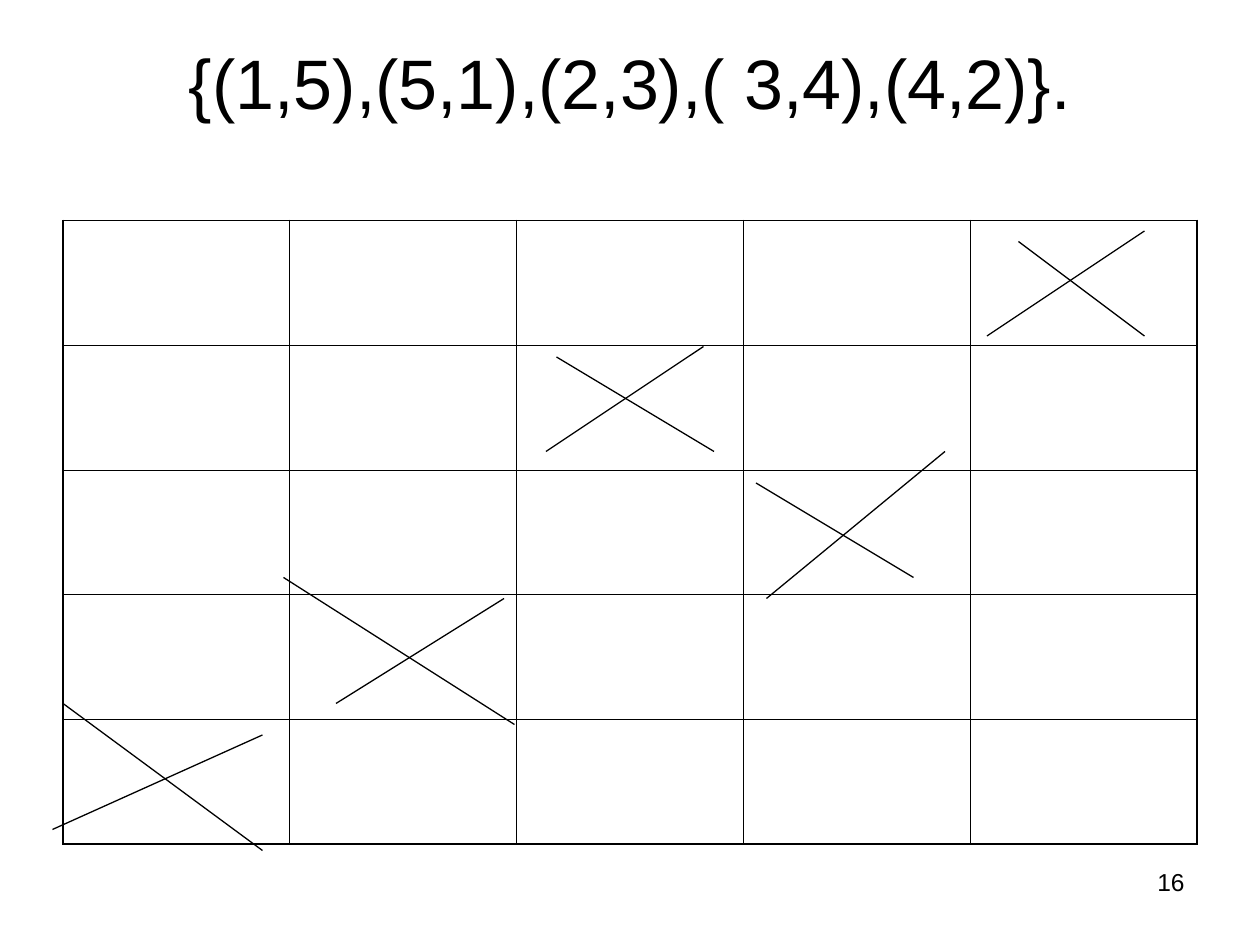
from dataclasses import dataclass
from lxml import etree
from pptx import Presentation
from pptx.dml.color import RGBColor
from pptx.enum.shapes import MSO_CONNECTOR
from pptx.enum.text import MSO_ANCHOR, MSO_AUTO_SIZE, PP_ALIGN
from pptx.oxml.ns import qn
from pptx.util import Pt

LINE = MSO_CONNECTOR.STRAIGHT
TOP = MSO_ANCHOR.TOP
FIXED = MSO_AUTO_SIZE.NONE
CENTER, RIGHT = PP_ALIGN.CENTER, PP_ALIGN.RIGHT


@dataclass(frozen=True)
class Theme:
    ink: str = "000000"
    font: str = "Arial"
    title: float = 40
    page: float = 14
    inner: float = 0.45
    outer: float = 1.08
    cross: float = 0.75


THEME = Theme()
SIZE = 5
CROSSES = [
    ((582, 138, 654, 192), (654, 132, 564, 192)),
    ((36, 402, 150, 486), (150, 420, 30, 474)),
    ((318, 204, 408, 258), (402, 198, 312, 258)),
    ((432, 276, 522, 330), (540, 258, 438, 342)),
    ((162, 330, 294, 414), (288, 342, 192, 402)),
]


def write(shape, text, size, align):
    frame = shape.text_frame
    frame.text = text
    frame.word_wrap = True
    frame.auto_size = FIXED
    frame.vertical_anchor = TOP
    para = frame.paragraphs[0]
    para.alignment = align
    font = para.runs[0].font
    font.name, font.size = THEME.font, Pt(size)
    font.color.rgb = RGBColor.from_string(THEME.ink)


def add_title(slide, text):
    title = slide.shapes.title
    title.left, title.top = Pt(36), Pt(21.6)
    title.width, title.height = Pt(648), Pt(90)
    write(title, text, THEME.title, CENTER)
    title.text_frame.margin_top = Pt(1)


def add_page(slide, text):
    box = slide.shapes.add_textbox(Pt(516), Pt(492), Pt(168), Pt(37.5))
    write(box, text, THEME.page, RIGHT)


def add_edge(cell, tag, width):
    props = cell._tc.get_or_add_tcPr()
    edge = etree.SubElement(props, qn(tag), w=str(Pt(width)))
    fill = etree.SubElement(edge, qn("a:solidFill"))
    etree.SubElement(fill, qn("a:srgbClr"), val=THEME.ink)


def add_board(slide):
    frame = slide.shapes.add_table(
        SIZE, SIZE, Pt(36), Pt(126), Pt(648), Pt(356.4))
    table = frame.table
    table.first_row = table.horz_banding = False
    last = SIZE - 1
    for row in range(SIZE):
        for col in range(SIZE):
            cell = table.cell(row, col)
            edges = {"a:lnL": col == 0, "a:lnR": col == last,
                     "a:lnT": row == 0, "a:lnB": row == last}
            for tag, rim in edges.items():
                add_edge(cell, tag, THEME.outer if rim else THEME.inner)
            cell.fill.background()


def add_line(slide, ends):
    line = slide.shapes.add_connector(LINE, *map(Pt, ends))
    line.line.color.rgb = RGBColor.from_string(THEME.ink)
    line.line.width = Pt(THEME.cross)
    etree.SubElement(line._element.spPr, qn("a:effectLst"))


def main():
    deck = Presentation()
    deck.slide_width, deck.slide_height = Pt(720), Pt(540)
    slide = deck.slides.add_slide(deck.slide_layouts[5])
    add_title(slide, "{(1,5),(5,1),(2,3),( 3,4),(4,2)}.")
    add_board(slide)
    for cross in CROSSES:
        for ends in cross:
            add_line(slide, ends)
    add_page(slide, "16")
    deck.save("out.pptx")


if __name__ == "__main__":
    main()
